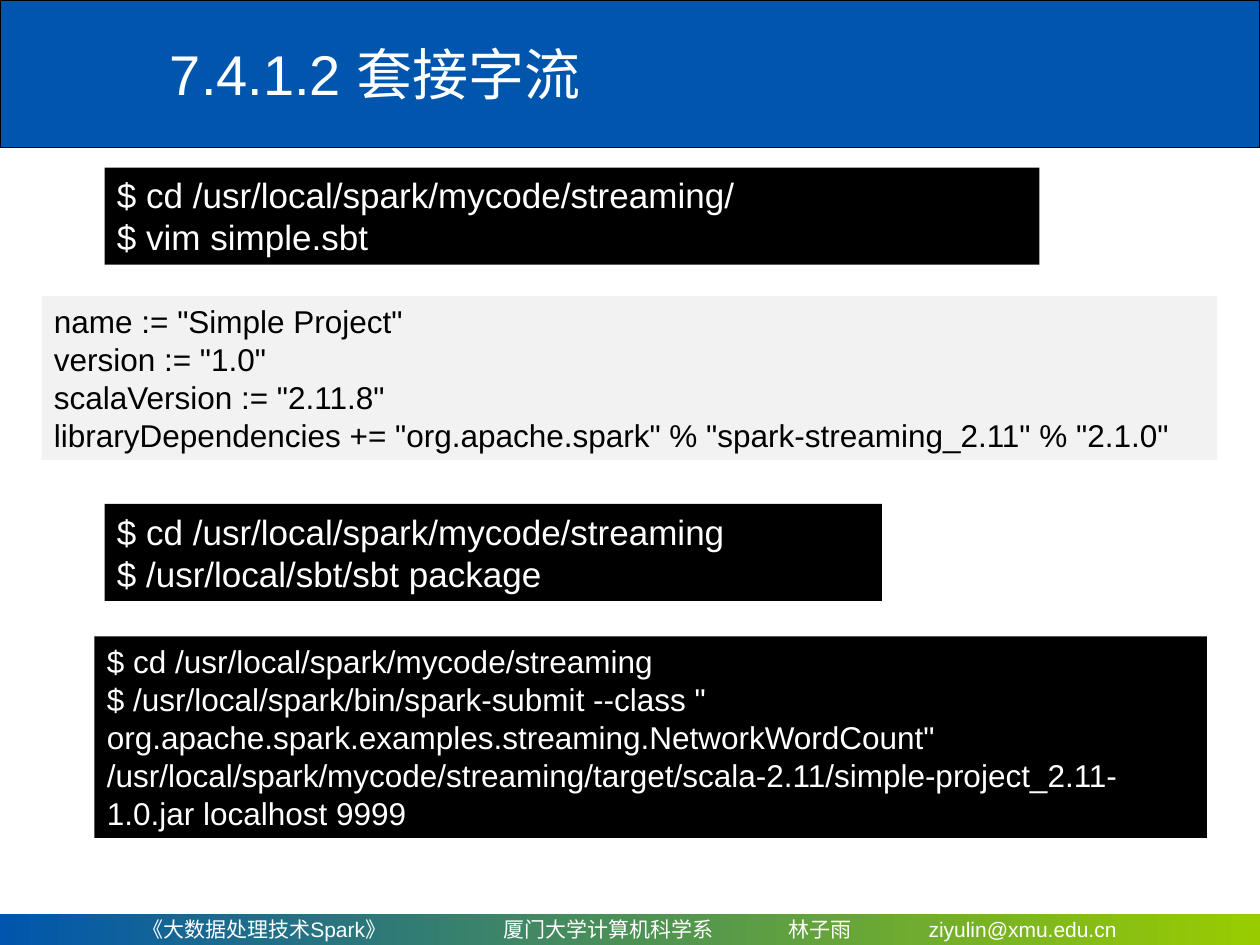
from dataclasses import dataclass

from lxml.etree import SubElement
from pptx import Presentation
from pptx.dml.color import RGBColor
from pptx.enum.shapes import MSO_SHAPE
from pptx.enum.text import MSO_ANCHOR, PP_ALIGN
from pptx.oxml.ns import qn
from pptx.util import Inches, Pt


@dataclass(frozen=True)
class Theme:
    font: str = "Arial"
    blue: RGBColor = RGBColor(0x00, 0x56, 0xAC)
    green: RGBColor = RGBColor(0x99, 0xCC, 0x00)
    black: RGBColor = RGBColor(0x00, 0x00, 0x00)
    white: RGBColor = RGBColor(0xFF, 0xFF, 0xFF)
    gray: RGBColor = RGBColor(0xF2, 0xF2, 0xF2)
    title_size: int = 32
    command_size: int = 20
    code_size: int = 18
    footer_size: int = 12


class SlideBuilder:
    def __init__(self, slide, theme):
        self.slide = slide
        self.theme = theme

    def rectangle(self, left, top, width, height):
        shape = self.slide.shapes.add_shape(
            MSO_SHAPE.RECTANGLE, Inches(left), Inches(top), Inches(width), Inches(height)
        )
        shape.shadow.inherit = False
        shape.line.fill.background()
        return shape

    def add_lines(self, shape, lines, size, color, anchor):
        frame = shape.text_frame
        frame.word_wrap = True
        frame.vertical_anchor = anchor
        for index, line in enumerate(lines):
            paragraph = frame.add_paragraph() if index else frame.paragraphs[0]
            paragraph.alignment = PP_ALIGN.LEFT
            run = paragraph.add_run()
            run.text = line
            run.font.name = self.theme.font
            run.font.size = Pt(size)
            run.font.color.rgb = color

    def header(self, text):
        band = self.rectangle(0, 0, 10, 1.17)
        band.fill.solid()
        band.fill.fore_color.rgb = self.theme.blue
        band.line.color.rgb = self.theme.black
        band.line.width = Pt(0.75)
        title = self.slide.shapes.add_textbox(
            Inches(1.25), Inches(0.08), Inches(8.75), Inches(1)
        )
        self.add_lines(title, [text], self.theme.title_size, self.theme.white, MSO_ANCHOR.MIDDLE)

    def footer(self, parts, positions):
        bar = self.rectangle(0, 7.25, 10, 0.25)
        bar.fill.gradient()
        bar.fill.gradient_angle = 0
        for stop, color in zip(bar.fill.gradient_stops, (self.theme.blue, self.theme.green)):
            stop.color.rgb = color
        first, *others = positions
        frame = bar.text_frame
        frame.margin_left = Inches(first)
        properties = frame.paragraphs[0]._p.get_or_add_pPr()
        tabs = SubElement(properties, qn("a:tabLst"))
        for position in others:
            SubElement(tabs, qn("a:tab"), pos=str(Inches(position - first)), algn="l")
        self.add_lines(
            bar, ["\t".join(parts)], self.theme.footer_size, self.theme.white, MSO_ANCHOR.MIDDLE
        )

    def code(self, left, top, width, height, lines, size, fill, color):
        block = self.rectangle(left, top, width, height)
        block.fill.solid()
        block.fill.fore_color.rgb = fill
        self.add_lines(block, lines, size, color, MSO_ANCHOR.TOP)

    def terminal(self, left, top, width, height, lines, size):
        self.code(left, top, width, height, lines, size, self.theme.black, self.theme.white)

    def listing(self, left, top, width, height, lines, size):
        self.code(left, top, width, height, lines, size, self.theme.gray, self.theme.black)


def main():
    presentation = Presentation()
    presentation.slide_width = Inches(10)
    presentation.slide_height = Inches(7.5)
    theme = Theme()
    builder = SlideBuilder(presentation.slides.add_slide(presentation.slide_layouts[6]), theme)

    builder.header("7.4.1.2 套接字流")
    builder.footer(
        ["《大数据处理技术Spark》", "厦门大学计算机科学系", "林子雨", "ziyulin@xmu.edu.cn"],
        [1.13, 4, 6.26, 7.37],
    )
    builder.terminal(
        0.83, 1.33, 7.42, 0.77,
        ["$ cd /usr/local/spark/mycode/streaming/", "$ vim simple.sbt"],
        theme.command_size,
    )
    builder.listing(
        0.33, 2.35, 9.33, 1.3,
        [
            'name := "Simple Project"',
            'version := "1.0"',
            'scalaVersion := "2.11.8"',
            'libraryDependencies += "org.apache.spark" % "spark-streaming_2.11" % "2.1.0"',
        ],
        theme.code_size,
    )
    builder.terminal(
        0.83, 4, 6.17, 0.77,
        ["$ cd /usr/local/spark/mycode/streaming", "$ /usr/local/sbt/sbt package"],
        theme.command_size,
    )
    builder.terminal(
        0.75, 5.05, 8.83, 1.6,
        [
            "$ cd /usr/local/spark/mycode/streaming",
            '$ /usr/local/spark/bin/spark-submit --class "'
            ' org.apache.spark.examples.streaming.NetworkWordCount"'
            " /usr/local/spark/mycode/streaming/target/scala-2.11/simple-project_2.11-1.0.jar"
            " localhost 9999",
        ],
        theme.code_size,
    )
    presentation.save("out.pptx")


if __name__ == "__main__":
    main()
